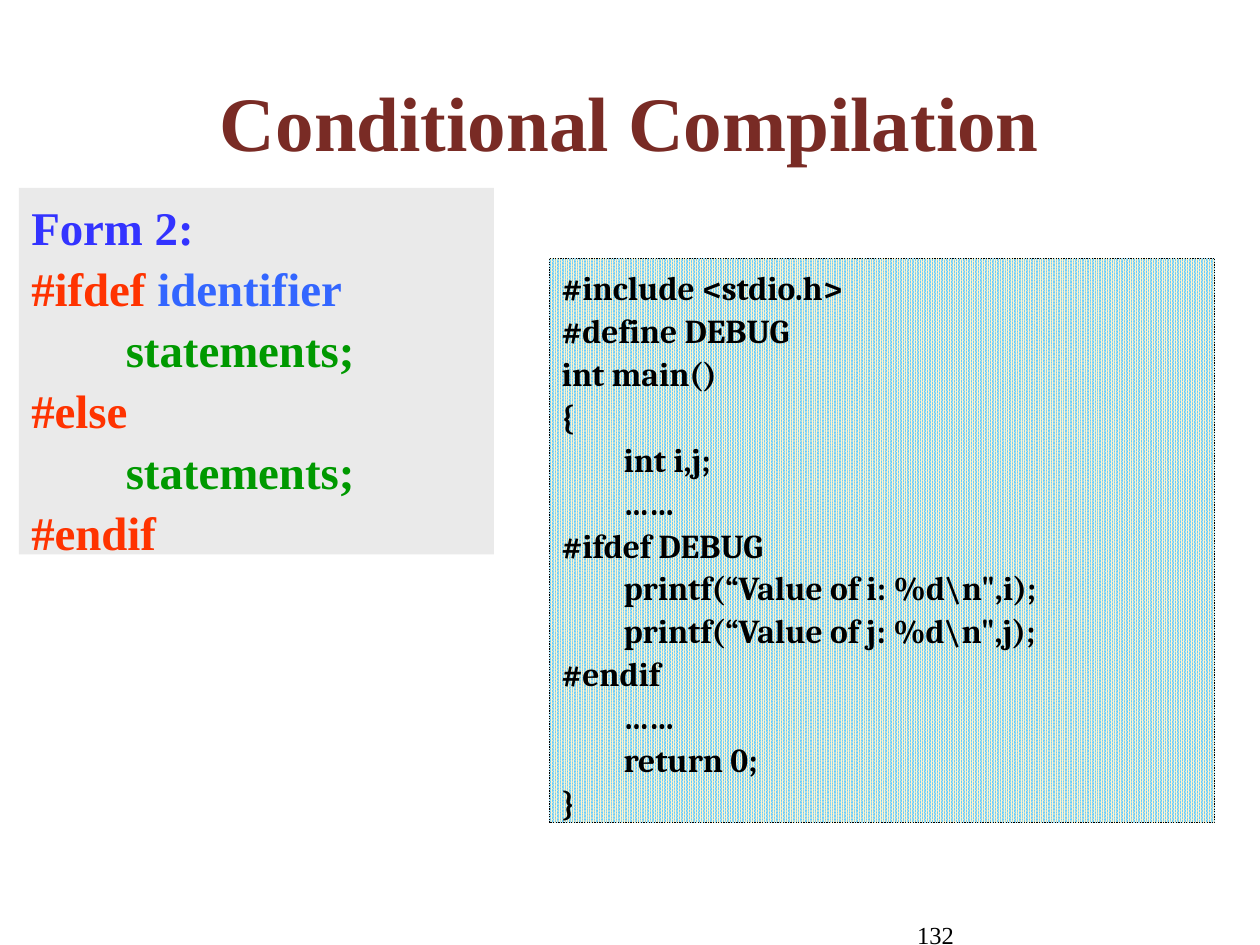
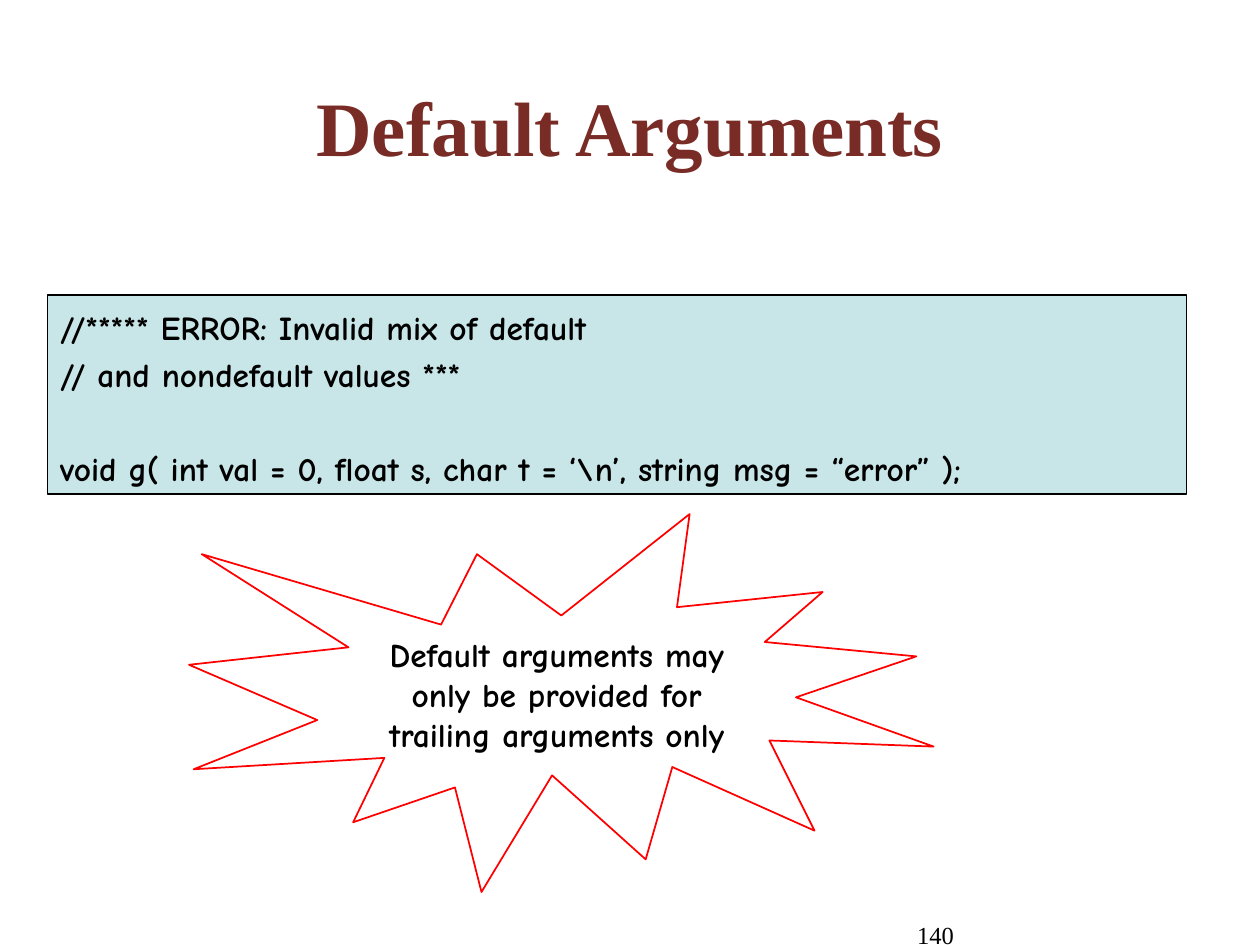
from lxml import etree
from pptx import Presentation
from pptx.dml.color import RGBColor
from pptx.enum.dml import MSO_LINE, MSO_PATTERN
from pptx.enum.shapes import MSO_SHAPE as Shape
from pptx.enum.text import MSO_ANCHOR as Anchor, MSO_AUTO_SIZE as Fit, PP_ALIGN as Align
from pptx.oxml.ns import qn
from pptx.util import Inches, Pt

BLACK = RGBColor(0x00, 0x00, 0x00)
BROWN = RGBColor(0x79, 0x2B, 0x25)
GRAY = RGBColor(0xEA, 0xEA, 0xEA)
INDIGO = RGBColor(0x33, 0x33, 0xFF)
BLUE = RGBColor(0x33, 0x66, 0xFF)
ORANGE = RGBColor(0xFF, 0x33, 0x00)
GREEN = RGBColor(0x00, 0x99, 0x00)
CREAM = RGBColor(0xFE, 0xF4, 0xCE)
SKY = RGBColor(0x66, 0xCC, 0xFF)
TEAL = RGBColor(0xBB, 0xE0, 0xE3)
RED = RGBColor(0xFF, 0x00, 0x00)

SERIF, CODE, COMIC = "Times New Roman", "Cambria", "Comic Neue"

FORM = [
    [("Form 2:", INDIGO)],
    [("#ifdef ", ORANGE), ("identifier", BLUE)],
    [("\tstatements;", GREEN)],
    [("#else", ORANGE)],
    [("\tstatements;", GREEN)],
    [("#endif", ORANGE)],
]
DEBUG = [
    "#include <stdio.h>",
    "#define DEBUG",
    "int main()",
    "{",
    "\tint i,j;",
    "\t……",
    "#ifdef DEBUG",
    "\tprintf(“Value of i: %d\\n\",i);",
    "\tprintf(“Value of j: %d\\n\",j);",
    "#endif",
    "\t……",
    "\treturn 0;",
    "}",
]
ERROR = [
    "//***** ERROR: Invalid mix of default",
    "// and nondefault values ***",
    "void g( int val = 0, float s, char t = ‘\\n’, string msg = “error” );",
]


def write(shape, lines, font=SERIF, size=19.1, color=BLACK, bold=True,
          align=Align.LEFT, anchor=Anchor.TOP, gap=0, tab=None, top=0.05):
    """Fill a shape with lines; a line is a string or a list of (text, color)."""
    frame = shape.text_frame
    frame.word_wrap, frame.auto_size = True, Fit.NONE
    frame.vertical_anchor = anchor
    frame.margin_left = frame.margin_right = Inches(0.1)
    frame.margin_top, frame.margin_bottom = Inches(top), Inches(0.05)
    for i, line in enumerate(lines):
        para = frame.paragraphs[0] if i == 0 else frame.add_paragraph()
        para.alignment = align
        para.space_before = Pt(gap if i else 0)
        if tab:
            stops = etree.SubElement(para._p.get_or_add_pPr(), qn("a:tabLst"))
            etree.SubElement(stops, qn("a:tab"), pos=str(Inches(tab)), algn="l")
        for text, tint in [(line, color)] if isinstance(line, str) else line:
            run = para.add_run()
            run.text = text
            run.font.name, run.font.size = font, Pt(size)
            run.font.bold, run.font.color.rgb = bold, tint
    return frame


def place(box):
    return [Inches(n) for n in box]


def add_box(slide, box, kind=Shape.RECTANGLE, fill=None, line=None, width=0.75):
    shape = slide.shapes.add_shape(kind, *place(box))
    shape.shadow.inherit = False
    if fill is None:
        shape.fill.background()
    else:
        shape.fill.solid()
        shape.fill.fore_color.rgb = fill
    if line is None:
        shape.line.fill.background()
    else:
        shape.line.color.rgb, shape.line.width = line, Pt(width)
    return shape


def add_page(deck, title, box, number):
    """Start a slide with its title and page number."""
    slide = deck.slides.add_slide(deck.slide_layouts[5])
    head = slide.shapes.title
    head.left, head.top, head.width, head.height = place(box)
    write(head, [title], size=44, color=BROWN, align=Align.CENTER, anchor=Anchor.MIDDLE)
    foot = slide.shapes.add_textbox(*place((6.75, 7.25, 0.92, 0.25)))
    write(foot, [number], size=14, bold=False, align=Align.RIGHT)
    return slide


def add_form(slide, box):
    write(add_box(slide, box, fill=GRAY), FORM, size=26.8, gap=2.7, tab=0.75, top=0.09)


def add_debug(slide, box):
    panel = add_box(slide, box, line=BLACK)
    panel.line.dash_style = MSO_LINE.ROUND_DOT
    panel.fill.patterned()
    panel.fill.pattern = MSO_PATTERN.PERCENT_90
    panel.fill.fore_color.rgb, panel.fill.back_color.rgb = CREAM, SKY
    write(panel, DEBUG, font=CODE, gap=1.6, tab=0.49, top=0.07)


def add_error(slide, box):
    panel = add_box(slide, box, fill=TEAL, line=BLACK)
    tint = panel._element.spPr.find(qn("a:solidFill"))[0]
    etree.SubElement(tint, qn("a:alpha"), val="80000")
    frame = write(panel, ERROR, font=COMIC, gap=3.8, top=0.1)
    # The declaration stands one line apart from its comment
    frame.paragraphs[-1].space_before = Pt(30.7)


def add_burst(slide, box):
    burst = add_box(slide, box, kind=Shape.EXPLOSION1, line=RED, width=1)
    write(burst, ["Default arguments may only be provided for trailing arguments only"],
          font=COMIC, align=Align.CENTER, anchor=Anchor.MIDDLE, top=0.1)


def main():
    deck = Presentation()
    deck.slide_width, deck.slide_height = Inches(10), Inches(7.5)

    # Conditional compilation: syntax and sample program
    slide = add_page(deck, "Conditional Compilation", (0.5, 0.42, 9, 1.08), "132")
    add_form(slide, (0.15, 1.49, 3.77, 2.91))
    add_debug(slide, (4.36, 2.05, 5.28, 4.48))

    # Default arguments: faulty declaration and its rule
    slide = add_page(deck, "Default Arguments", (0.33, 0.62, 9.34, 0.76), "140")
    add_error(slide, (0.38, 2.34, 9.04, 1.58))
    add_burst(slide, (1.5, 4.08, 5.91, 3))

    deck.save("out.pptx")


if __name__ == "__main__":
    main()
